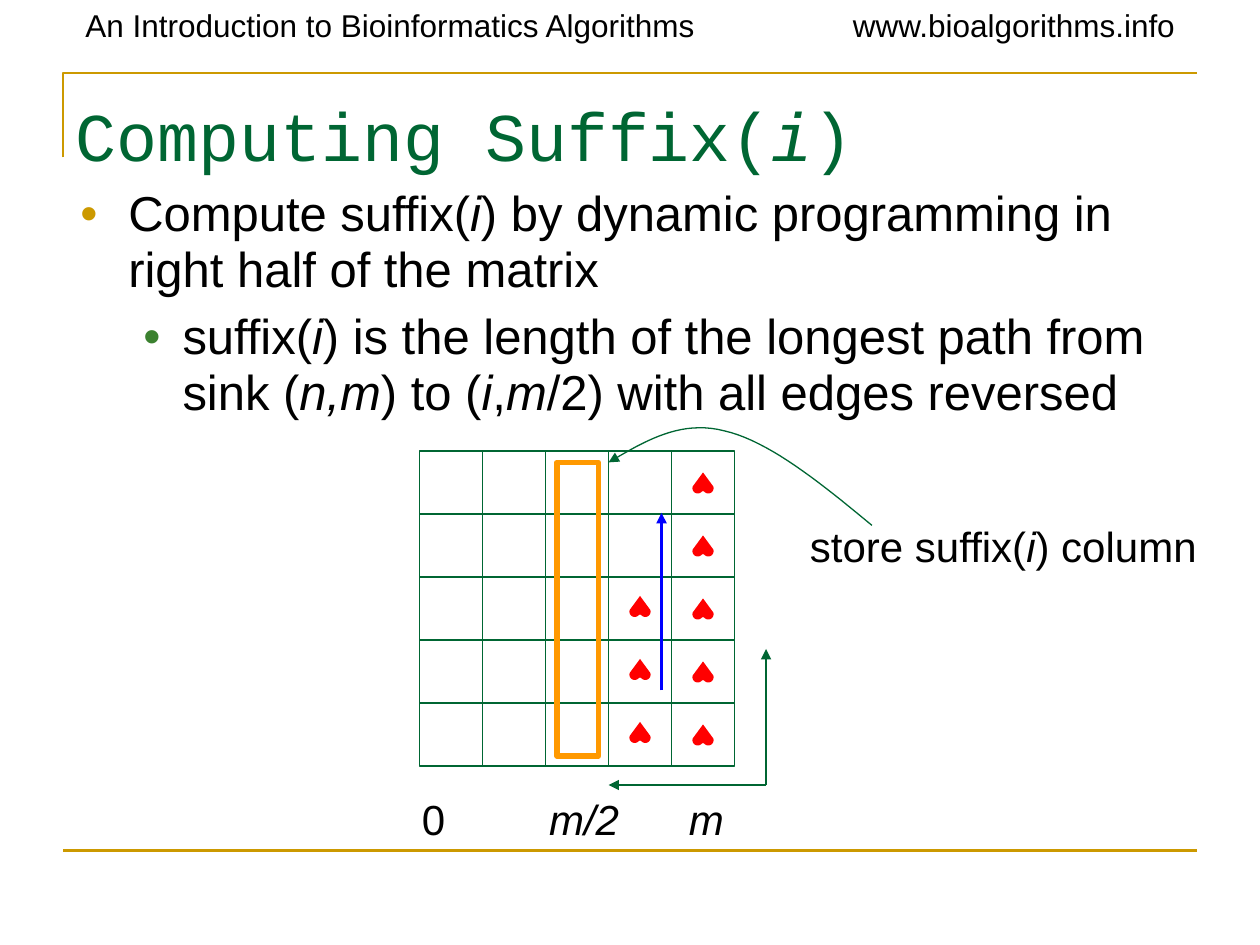
import math
from dataclasses import dataclass

import pptx
import pptx.dml.color
import pptx.enum.shapes
import pptx.enum.text
import pptx.oxml.ns
import pptx.util
from lxml import etree

Inches = pptx.util.Inches
Pt = pptx.util.Pt
RGBColor = pptx.dml.color.RGBColor
qn = pptx.oxml.ns.qn

BLACK = RGBColor(0x00, 0x00, 0x00)
GOLD = RGBColor(0xCC, 0x99, 0x00)
GREEN = RGBColor(0x00, 0x66, 0x33)
LEAF = RGBColor(0x3B, 0x81, 0x2F)
ORANGE = RGBColor(0xFF, 0x99, 0x00)
BLUE = RGBColor(0x00, 0x00, 0xFF)
RED = RGBColor(0xFF, 0x00, 0x00)

GRID_LEFT, GRID_TOP, CELL, CELLS = 3.33, 3.58, 0.5, 5
GRID_SIZE = CELL * CELLS

Point = tuple[float, float]


@dataclass
class Label:
    left: float
    top: float
    width: float
    height: float
    size: float
    text: str  # asterisks enclose italic parts
    tabs: tuple[float, ...] = ()


@dataclass
class Bullet:
    text: str
    level: int
    margin: float
    hanging: float
    color: RGBColor


@dataclass
class Line:
    start: Point
    end: Point
    color: RGBColor = GREEN
    weight: float = 0.75
    arrow: bool = False


def write(para, text: str, font: str, size: float, color: RGBColor) -> None:
    """Fill a paragraph; every second part between asterisks is italic."""
    for index, part in enumerate(text.split("*")):
        if part:
            span = para.add_run()
            span.text = part
            if index % 2:
                span.font.italic = True
    para.font.name = font
    para.font.size = Pt(size)
    para.font.color.rgb = color


def add_box(page, left: float, top: float, width: float, height: float):
    box = page.shapes.add_textbox(Inches(left), Inches(top), Inches(width), Inches(height))
    box.text_frame.word_wrap = True
    return box


def add_label(page, label: Label) -> None:
    box = add_box(page, label.left, label.top, label.width, label.height)
    para = box.text_frame.paragraphs[0]
    if label.tabs:
        stops = etree.SubElement(para._p.get_or_add_pPr(), qn("a:tabLst"))
        for stop in label.tabs:
            etree.SubElement(stops, qn("a:tab"), pos=str(Inches(stop)), algn="l")
    write(para, label.text, "Arial", label.size, BLACK)


def add_bullet(para, bullet: Bullet) -> None:
    para.level = bullet.level
    para.line_spacing = 0.94
    props = para._p.get_or_add_pPr()
    props.set("marL", str(Inches(bullet.margin)))
    props.set("indent", str(-Inches(bullet.hanging)))
    color = etree.SubElement(props, qn("a:buClr"))
    etree.SubElement(color, qn("a:srgbClr"), val=str(bullet.color))
    etree.SubElement(props, qn("a:buFont"), typeface="Arial")
    etree.SubElement(props, qn("a:buChar"), char="•")
    write(para, bullet.text, "Arial", 28, BLACK)


def style_line(shape, color: RGBColor, weight: float, arrow: bool = False) -> None:
    shape.line.color.rgb = color
    shape.line.width = Pt(weight)
    if arrow:
        etree.SubElement(shape.line._get_or_add_ln(), qn("a:tailEnd"), type="triangle")


def add_line(page, line: Line) -> None:
    connector = page.shapes.add_connector(
        pptx.enum.shapes.MSO_CONNECTOR.STRAIGHT,
        *(Inches(value) for value in line.start + line.end),
    )
    style_line(connector, line.color, line.weight, line.arrow)
    etree.SubElement(connector._element.spPr, qn("a:effectLst"))


def add_frame(page, left: float, top: float, width: float, height: float,
              color: RGBColor, weight: float) -> None:
    frame = page.shapes.add_shape(
        pptx.enum.shapes.MSO_SHAPE.RECTANGLE,
        Inches(left), Inches(top), Inches(width), Inches(height),
    )
    frame.shadow.inherit = False
    frame.fill.background()
    style_line(frame, color, weight)


def add_outline(page, points: list[Point], close: bool):
    corners = [(Inches(x), Inches(y)) for x, y in points]
    builder = page.shapes.build_freeform(*corners[0])
    builder.add_line_segments(corners[1:], close=close)
    shape = builder.convert_to_shape()
    shape.shadow.inherit = False
    shape.fill.background()
    return shape


def add_heart(page, center: float, top: float) -> None:
    """Draw a heart that points up, from one lobe and its mirror."""
    lobe = []
    for degrees in range(-20, 146, 15):
        angle = math.radians(degrees)
        lobe.append((0.042 + 0.042 * math.cos(angle), 0.125 + 0.042 * math.sin(angle)))
    half = [(0, 0), *lobe, (0, 0.15)]
    right = [(center + x, top + y) for x, y in half]
    left = [(center - x, top + y) for x, y in reversed(half[1:-1])]
    heart = add_outline(page, right + left, True)
    heart.fill.solid()
    heart.fill.fore_color.rgb = RED
    heart.line.fill.background()


def bezier(a: Point, b: Point, c: Point, d: Point, steps: int = 20) -> list[Point]:
    points = []
    for step in range(steps + 1):
        t = step / steps
        weights = ((1 - t) ** 3, 3 * t * (1 - t) ** 2, 3 * t * t * (1 - t), t ** 3)
        points.append(tuple(sum(w * p[axis] for w, p in zip(weights, (a, b, c, d)))
                            for axis in (0, 1)))
    return points


def main() -> None:
    deck = pptx.Presentation()
    deck.slide_width, deck.slide_height = Inches(10), Inches(7.5)
    page = deck.slides.add_slide(deck.slide_layouts[5])

    # Header and rules
    rule = add_outline(page, [(0.5, 1.25), (0.5, 0.58), (9.5, 0.58)], False)
    style_line(rule, GOLD, 1.5)
    add_line(page, Line((0.5, 6.75), (9.5, 6.75), GOLD, 1.5))
    add_label(page, Label(0.58, 0, 5.5, 0.4, 18, "An Introduction to Bioinformatics Algorithms"))
    add_label(page, Label(6.67, 0, 2.92, 0.4, 18, "www.bioalgorithms.info"))

    # Title
    title = page.shapes.title
    title.left, title.top = Inches(0.5), Inches(0.58)
    title.width, title.height = Inches(9), Inches(0.97)
    title.text_frame.auto_size = pptx.enum.text.MSO_AUTO_SIZE.NONE
    title.text_frame.vertical_anchor = pptx.enum.text.MSO_ANCHOR.MIDDLE
    heading = title.text_frame.paragraphs[0]
    heading.alignment = pptx.enum.text.PP_ALIGN.LEFT
    write(heading, "Computing Suffix(*i*)", "Courier New", 39, GREEN)

    # Bullets
    body = add_box(page, 0.54, 1.44, 8.92, 1.33).text_frame
    add_bullet(body.paragraphs[0], Bullet(
        "Compute suffix(*i*) by dynamic programming in right half of the matrix",
        0, 0.38, 0.38, GOLD))
    detail = body.add_paragraph()
    add_bullet(detail, Bullet(
        "suffix(*i*) is the length of the longest path from sink (*n,m*) to (*i*,*m*/2)"
        " with all edges reversed", 1, 0.81, 0.31, LEAF))
    detail.space_before = Pt(7)

    # Matrix with its middle column marked
    right, bottom = GRID_LEFT + GRID_SIZE, GRID_TOP + GRID_SIZE
    add_frame(page, GRID_LEFT, GRID_TOP, GRID_SIZE, GRID_SIZE, GREEN, 0.75)
    for index in range(1, CELLS):
        x, y = GRID_LEFT + index * CELL, GRID_TOP + index * CELL
        add_line(page, Line((x, GRID_TOP), (x, bottom)))
        add_line(page, Line((GRID_LEFT, y), (right, y)))
    add_frame(page, 4.42, 3.67, 0.33, 2.33, ORANGE, 3)

    # Visited cells: the whole last column, the lower three of the one before
    for row in range(CELLS):
        add_heart(page, 5.58, 3.75 + row * CELL)
    add_line(page, Line((5.25, 5.48), (5.25, 4.07), BLUE, 2, True))
    for row in range(2, CELLS):
        add_heart(page, 5.08, 3.73 + row * CELL)

    # Labels and arrows
    add_label(page, Label(3.25, 6.25, 3, 0.5, 24, "0\t*m/2\tm*", (1.01, 2.12)))
    add_label(page, Label(6.33, 4.08, 3.42, 0.5, 24, "store suffix(*i*) column"))
    curve = bezier((6.92, 4.17), (6.51, 3.83), (6.1, 3.5), (5.75, 3.42))
    curve += bezier((5.75, 3.42), (5.4, 3.33), (5.12, 3.5), (4.83, 3.67))[1:]
    style_line(add_outline(page, curve, False), GREEN, 0.75, True)
    for tip in ((4.83, 6.23), (6.08, 5.15)):
        add_line(page, Line((6.08, 6.23), tip, arrow=True))

    deck.save("out.pptx")


if __name__ == "__main__":
    main()
